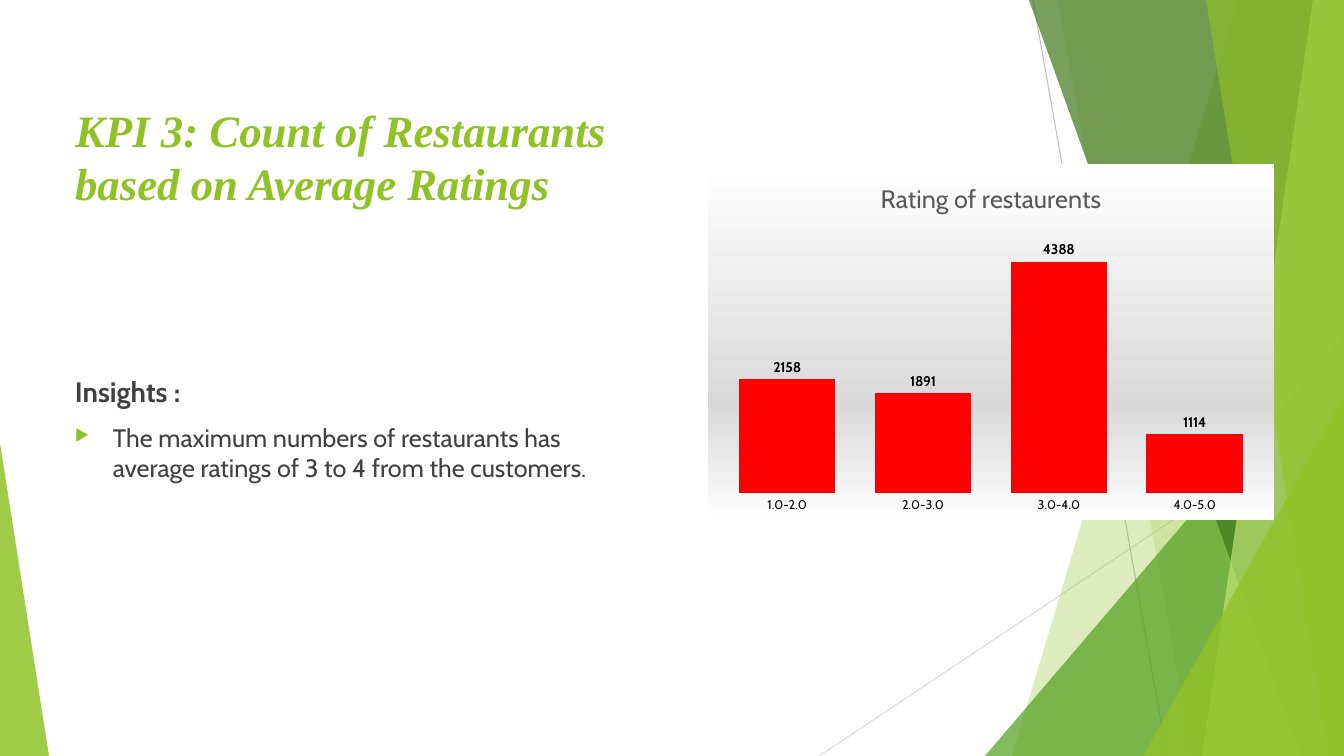
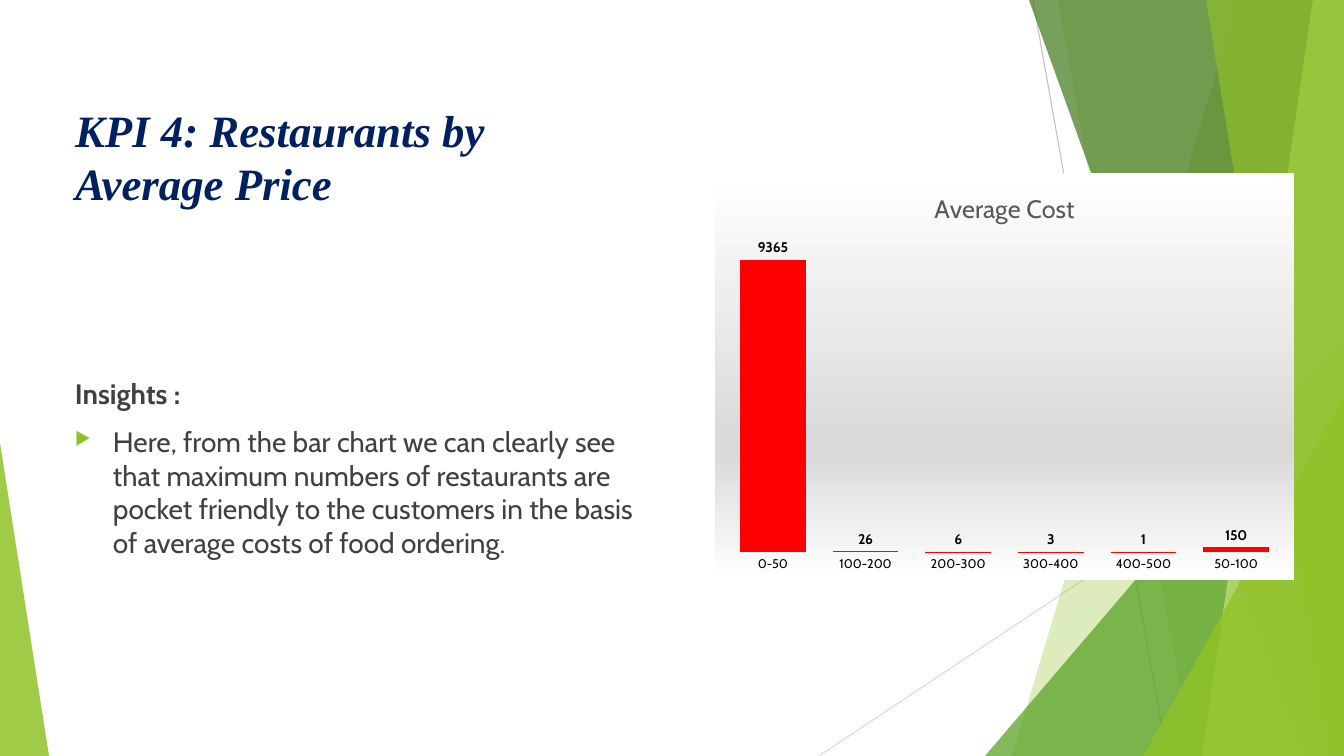
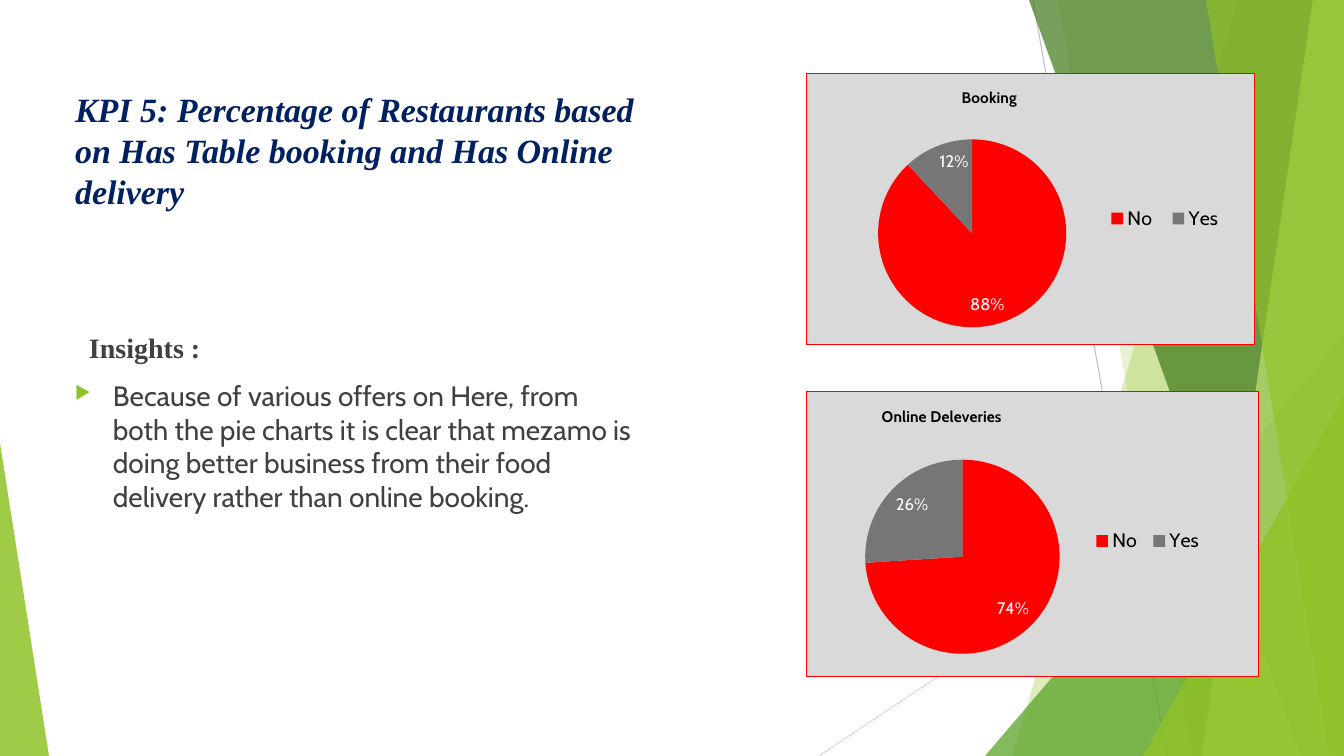
from lxml import etree
from pptx import Presentation
from pptx.chart.data import CategoryChartData
from pptx.dml.color import RGBColor
from pptx.enum.chart import XL_CHART_TYPE as CHART, XL_LABEL_POSITION as LABEL
from pptx.enum.chart import XL_LEGEND_POSITION as LEGEND, XL_TICK_MARK as TICK
from pptx.enum.shapes import MSO_CONNECTOR, MSO_SHAPE
from pptx.enum.text import MSO_ANCHOR, MSO_AUTO_SIZE, PP_ALIGN
from pptx.oxml import parse_xml
from pptx.oxml.ns import nsdecls, qn
from pptx.util import Pt

WIDTH, HEIGHT = 1344, 756
SCALE = 12192000 / WIDTH

LIME = RGBColor(0x90, 0xC2, 0x26)
LEAF = RGBColor(0x54, 0xA0, 0x21)
FOREST = RGBColor(0x3F, 0x78, 0x19)
PALE = RGBColor(0xC0, 0xE4, 0x74)
NAVY = RGBColor(0x00, 0x20, 0x60)
RED = RGBColor(0xFF, 0x00, 0x00)
GRAY = RGBColor(0x76, 0x76, 0x76)
SILVER = RGBColor(0xBF, 0xBF, 0xBF)
PANEL = RGBColor(0xD9, 0xD9, 0xD9)
INK = RGBColor(0x40, 0x40, 0x40)
CHART_TITLE = RGBColor(0x59, 0x59, 0x59)
BLACK = RGBColor(0x00, 0x00, 0x00)
WHITE = RGBColor(0xFF, 0xFF, 0xFF)

SANS, SERIF = "Cabin", "Times New Roman"

# x1, y1, x2, y2, colour
RAYS = [(1033, 0, 1167, HEIGHT, SILVER), (WIDTH, 406, 819, HEIGHT, PANEL)]
# Shard: top x, bottom x. Triangle: left, top, width, apex. Then colour, opacity.
BACKDROP = [
    ("shard", (1238, 1012), LIME, 30),
    ("shard", (1058, 1192), LIME, 20),
    ("triangle", (985, 336, 359, 1), LEAF, 72),
    ("shard", (1029, 1301), FOREST, 70),
    ("shard", (1313, 1202), PALE, 70),
    ("shard", (1206, 1329), LIME, 65),
    ("triangle", (1143, 396, 201, 1), LIME, 80),
    ("triangle", (0, 443, 49, 0), LIME, 85),
]

SLIDES = [
    {
        "title": "KPI 3: Count of Restaurants based on Average Ratings",
        "title_color": LIME, "title_size": 32, "title_top": 94,
        "insight": "The maximum numbers of restaurants has average ratings "
                   "of 3 to 4 from the customers.",
        "insight_size": 18, "body": (273, 312),
        "bars": {"title": "Rating of restaurents", "box": (708, 164, 566, 356),
                 "data": {"1.0-2.0": 2158, "2.0-3.0": 1891,
                          "3.0-4.0": 4388, "4.0-5.0": 1114}},
    },
    {
        "title": "KPI 4: Restaurants by Average Price",
        "title_color": NAVY, "title_size": 32, "title_top": 94,
        "insight": "Here, from the bar chart we can clearly see that maximum "
                   "numbers of restaurants are pocket friendly to the customers "
                   "in the basis of average costs of food ordering.",
        "insight_size": 20, "body": (271, 394),
        "bars": {"title": "Average Cost", "box": (715, 173, 579, 407),
                 "data": {"0-50": 9365, "100-200": 26, "200-300": 6,
                          "300-400": 3, "400-500": 1, "50-100": 150}},
    },
    {
        "title": "KPI 5: Percentage of Restaurants based on Has Table booking "
                 "and Has Online delivery",
        "title_color": NAVY, "title_size": 24.3, "title_top": 88,
        "heading_font": SERIF, "heading_indent": 14,
        "insight": "Because of various offers on Here, from both the pie charts "
                   "it is clear that mezamo is doing better business from their "
                   "food delivery rather than online booking.",
        "insight_size": 20, "body": (315, 214),
        "pies": [
            {"title": "Online Deleveries", "box": (806, 391, 453, 286),
             "data": {"No": 74, "Yes": 26},
             "plot": (0.13, 0.22, 0.43, 0.72), "title_at": (0.16, 0.04),
             "legend": (0.62, 0.47, 0.27, 0.11)},
            {"title": "Booking", "box": (806, 73, 449, 272),
             "data": {"No": 88, "Yes": 12},
             "plot": (0.16, 0.24, 0.42, 0.7), "title_at": (0.34, 0.04),
             "legend": (0.65, 0.48, 0.3, 0.11)},
        ],
    },
]


def px(*lengths):
    return [round(length * SCALE) for length in lengths]


def style_font(font, size, color, name=SANS, bold=False, italic=False):
    font.size, font.name, font.bold, font.italic = Pt(size), name, bold, italic
    font.color.rgb = color


def write(paragraph, text, indent=0, hanging=0, space_before=0, **style):
    run = paragraph.add_run()
    run.text = text
    style_font(run.font, **style)
    paragraph.alignment = PP_ALIGN.LEFT
    paragraph.space_before = Pt(space_before)
    properties = paragraph._p.get_or_add_pPr()
    properties.set("marL", str(px(indent)[0]))
    properties.set("indent", str(px(-hanging)[0]))


def add_bullet(paragraph):
    properties = paragraph._p.get_or_add_pPr()
    color = etree.SubElement(properties, qn("a:buClr"))
    etree.SubElement(color, qn("a:srgbClr"), val=str(LIME))
    etree.SubElement(properties, qn("a:buSzPct"), val="65000")
    etree.SubElement(properties, qn("a:buChar"), char="▶")


def prepare_frame(shape):
    frame = shape.text_frame
    frame.word_wrap = True
    frame.auto_size = MSO_AUTO_SIZE.NONE
    frame.vertical_anchor = MSO_ANCHOR.MIDDLE
    return frame


def draw_backdrop(shapes):
    for x1, y1, x2, y2, color in RAYS:
        ray = shapes.add_connector(MSO_CONNECTOR.STRAIGHT, *px(x1, y1, x2, y2))
        ray.line.color.rgb, ray.line.width = color, Pt(0.75)
        etree.SubElement(ray.element.spPr, qn("a:effectLst"))
        yield ray
    for kind, place, color, opacity in BACKDROP:
        if kind == "shard":
            top_x, bottom_x = place
            builder = shapes.build_freeform(top_x, 0, scale=SCALE)
            builder.add_line_segments([(WIDTH, 0), (WIDTH, HEIGHT), (bottom_x, HEIGHT)])
            shape = builder.convert_to_shape()
        else:
            left, top, width, apex = place
            shape = shapes.add_shape(MSO_SHAPE.ISOSCELES_TRIANGLE,
                                     *px(left, top, width, HEIGHT - top))
            shape.adjustments[0] = apex
        shape.fill.solid()
        shape.fill.fore_color.rgb = color
        fill_color = shape.element.spPr.find(".//" + qn("a:srgbClr"))
        etree.SubElement(fill_color, qn("a:alpha"), val=str(opacity * 1000))
        shape.line.fill.background()
        shape.shadow.inherit = False
        yield shape


def move_backdrop_to_layout(slide, layout):
    """Draw the backdrop once and let every slide inherit it."""
    for placeholder in list(layout.placeholders):
        if placeholder.placeholder_format.idx:
            layout.shapes.element.remove(placeholder.element)
    for index, shape in enumerate(list(draw_backdrop(slide.shapes))):
        layout.shapes.element.insert(2 + index, shape.element)


def place_part(part, box):
    """Place a chart title, legend or plot area by fractions of the chart."""
    for old in part.findall(qn("c:layout")):
        part.remove(old)
    layout = etree.Element(qn("c:layout"))
    manual = etree.SubElement(layout, qn("c:manualLayout"))
    if part.tag == qn("c:plotArea"):
        etree.SubElement(manual, qn("c:layoutTarget"), val="inner")
    for axis in ("xMode", "yMode"):
        etree.SubElement(manual, qn("c:" + axis), val="edge")
    for name, value in zip("xywh", box):
        etree.SubElement(manual, qn("c:" + name), val=str(value))
    overlay = part.find(qn("c:overlay"))
    if overlay is None:
        part.insert(0, layout)
    else:
        overlay.addprevious(layout)


def fill_chart(chart, content):
    area = parse_xml(f"<c:spPr {nsdecls('c', 'a')}>{content}</c:spPr>")
    chart.element.find(qn("c:chart")).addnext(area)


def solid(color):
    return f'<a:solidFill><a:srgbClr val="{color}"/></a:solidFill>'


def add_chart(slide, kind, details, **title_style):
    data = CategoryChartData()
    data.categories = list(details["data"])
    data.add_series("Series 1", list(details["data"].values()))
    chart = slide.shapes.add_chart(kind, *px(*details["box"]), data).chart
    style_font(chart.font, 10, BLACK)
    chart.has_title = True
    write(chart.chart_title.text_frame.paragraphs[0], details["title"], **title_style)
    return chart


def add_labels(plot, position, **style):
    plot.has_data_labels = True
    labels = plot.data_labels
    labels.position = position
    style_font(labels.font, **style)
    return labels


def add_bars(slide, details):
    chart = add_chart(slide, CHART.COLUMN_CLUSTERED, details,
                      size=18, color=CHART_TITLE)
    chart.has_legend = False
    stops = "".join(f'<a:gs pos="{at * 1000}"><a:srgbClr val="{color}"/></a:gs>'
                    for at, color in ((0, WHITE), (68, PANEL), (100, WHITE)))
    fill_chart(chart, f'<a:gradFill><a:gsLst>{stops}</a:gsLst>'
                      '<a:lin ang="5400000" scaled="0"/></a:gradFill>'
                      '<a:ln><a:noFill/></a:ln>')
    plot = chart.plots[0]
    plot.gap_width, plot.vary_by_categories = 41, False
    series = plot.series[0]
    series.invert_if_negative = False
    series.format.fill.solid()
    series.format.fill.fore_color.rgb = RED
    add_labels(plot, LABEL.OUTSIDE_END, size=10, color=BLACK, bold=True).show_value = True
    categories, values = chart.category_axis, chart.value_axis
    categories.major_tick_mark = TICK.NONE
    categories.format.line.fill.background()
    style_font(categories.tick_labels.font, 9, BLACK)
    values.has_major_gridlines = values.visible = False


def add_pie(slide, details):
    chart = add_chart(slide, CHART.PIE, details, size=11, color=BLACK, bold=True)
    chart.has_legend = True
    chart.legend.position = LEGEND.RIGHT
    chart.legend.include_in_layout = False
    style_font(chart.legend.font, 14, BLACK)
    for tag, key in (("plotArea", "plot"), ("title", "title_at"), ("legend", "legend")):
        place_part(chart.element.find(".//" + qn("c:" + tag)), details[key])
    fill_chart(chart, f'{solid(PANEL)}<a:ln w="{Pt(0.75)}">{solid(RED)}</a:ln>')
    plot = chart.plots[0]
    for index, color in enumerate((RED, GRAY)):
        fill = plot.series[0].points[index].format.fill
        fill.solid()
        fill.fore_color.rgb = color
    labels = add_labels(plot, LABEL.INSIDE_END, size=12, color=WHITE)
    labels.show_percentage, labels.show_value = True, False
    labels.number_format, labels.number_format_is_linked = "0%", False


def add_texts(slide, details):
    title = slide.shapes.title
    title.left, title.top, title.width, title.height = px(
        65, details["title_top"], 582, 124)
    write(prepare_frame(title).paragraphs[0], details["title"],
          size=details["title_size"], color=details["title_color"],
          name=SERIF, bold=True, italic=True)

    top, height = details["body"]
    frame = prepare_frame(slide.shapes.add_textbox(*px(65, top, 582, height)))
    write(frame.paragraphs[0], "Insights :", indent=details.get("heading_indent", 0),
          space_before=10, size=20, color=INK, bold=True,
          name=details.get("heading_font", SANS))
    insight = frame.add_paragraph()
    write(insight, details["insight"], indent=38, hanging=38, space_before=10,
          size=details["insight_size"], color=INK)
    add_bullet(insight)


def main():
    presentation = Presentation()
    presentation.slide_width, presentation.slide_height = px(WIDTH, HEIGHT)
    layout = presentation.slide_layouts[5]
    for number, details in enumerate(SLIDES):
        slide = presentation.slides.add_slide(layout)
        if number == 0:
            move_backdrop_to_layout(slide, layout)
        add_texts(slide, details)
        if "bars" in details:
            add_bars(slide, details["bars"])
        for pie in details.get("pies", []):
            add_pie(slide, pie)
    presentation.save("out.pptx")


if __name__ == "__main__":
    main()
